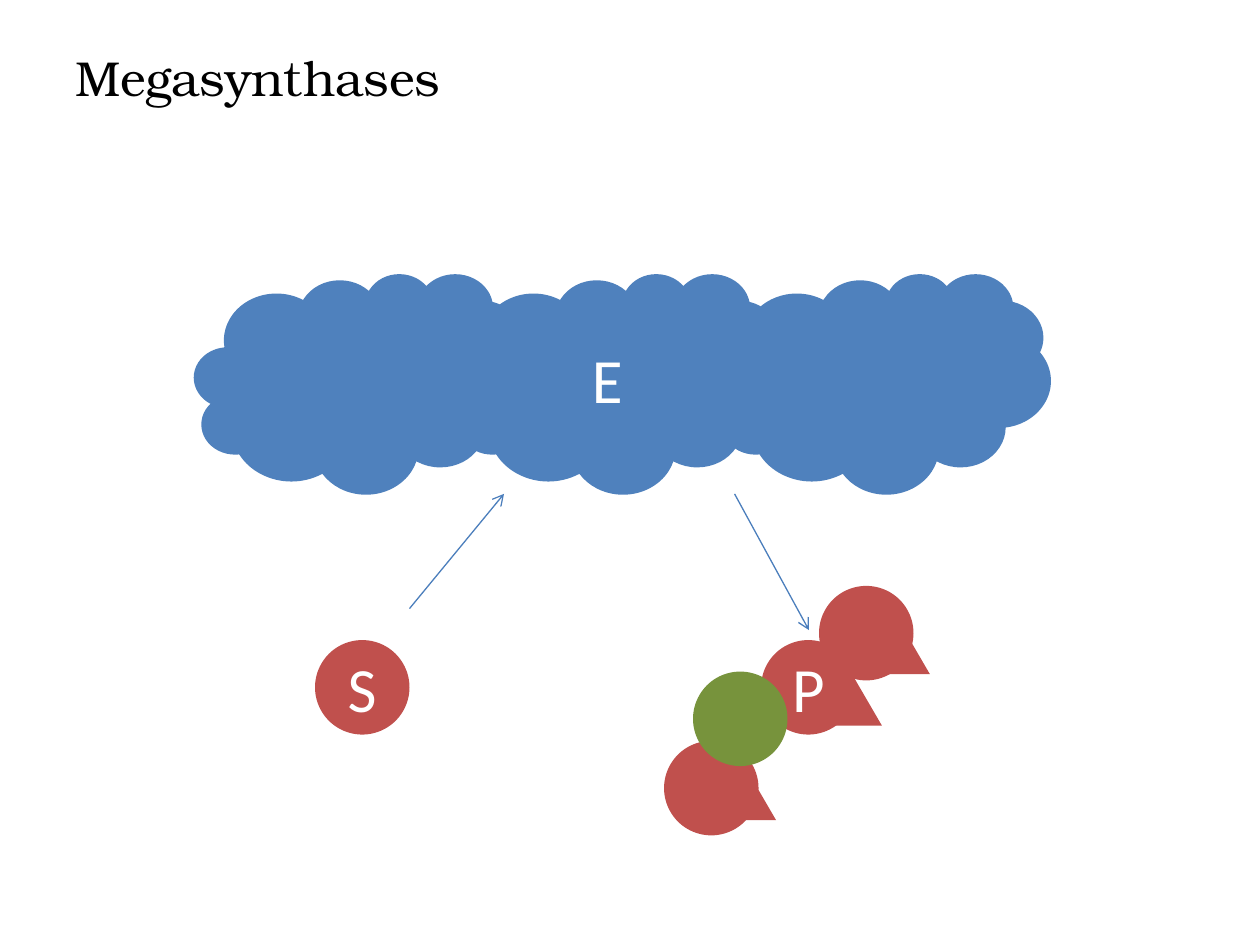
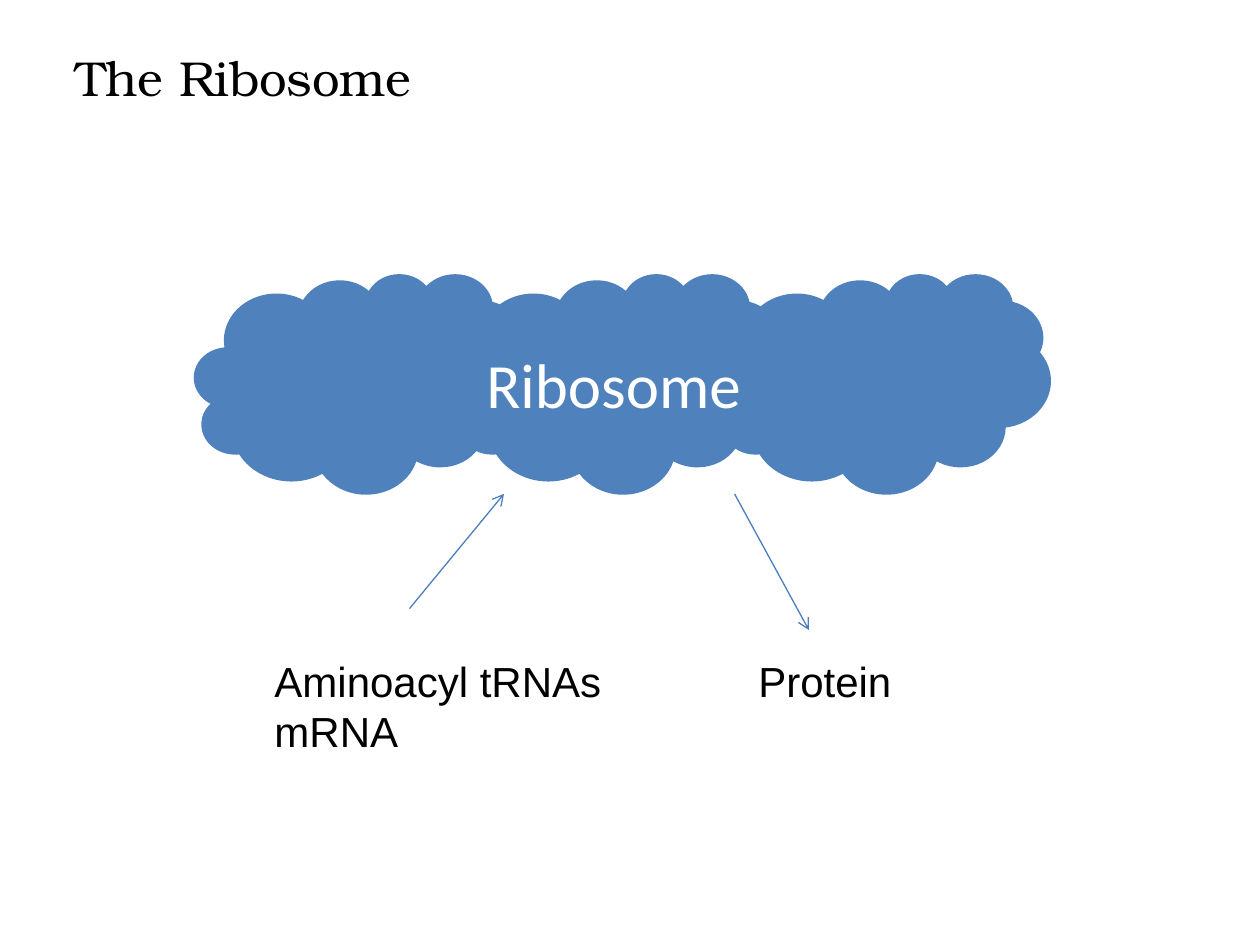
from pptx import Presentation
from pptx.dml.color import RGBColor
from pptx.enum.shapes import MSO_CONNECTOR, MSO_SHAPE
from pptx.enum.text import MSO_ANCHOR, MSO_AUTO_SIZE, PP_ALIGN
from pptx.oxml.ns import qn
from pptx.util import Inches, Pt
from lxml import etree

CLOUD, BALL, WEDGE = MSO_SHAPE.CLOUD, MSO_SHAPE.OVAL, MSO_SHAPE.ISOSCELES_TRIANGLE
STRAIGHT = MSO_CONNECTOR.STRAIGHT
LEFT, CENTER = PP_ALIGN.LEFT, PP_ALIGN.CENTER
TOP, MIDDLE = MSO_ANCHOR.TOP, MSO_ANCHOR.MIDDLE
GROW = MSO_AUTO_SIZE.SHAPE_TO_FIT_TEXT

BLACK = RGBColor(0x00, 0x00, 0x00)
WHITE = RGBColor(0xFF, 0xFF, 0xFF)
BLUE = RGBColor(0x4F, 0x81, 0xBD)
EDGE = RGBColor(0x4B, 0x7E, 0xBC)
RED = RGBColor(0xC0, 0x50, 0x4D)
GREEN = RGBColor(0x77, 0x93, 0x3C)

# Text formats
TITLE = {"name": "TeX Gyre Bonum", "size": Pt(28), "color": BLACK}
NOTE = {"name": "Arial", "size": Pt(24), "color": BLACK}
MARK = {"name": "Calibri", "size": Pt(36), "color": WHITE}

# Sizes of the parts
SIZES = {CLOUD: (2.67, 1.75), BALL: (0.75, 0.75), WEDGE: (0.5, 0.43)}


def write(frame, text, form, align=LEFT, anchor=TOP, wrap=True):
    frame.word_wrap = wrap
    frame.vertical_anchor = anchor
    frame.text = text
    for para in frame.paragraphs:
        para.alignment = align
        font = para.runs[0].font
        for key, value in form.items():
            if key == "color":
                font.color.rgb = value
            else:
                setattr(font, key, value)


def add_part(slide, kind, left, top, color, mark=""):
    size = SIZES[kind]
    part = slide.shapes.add_shape(kind, *map(Inches, (left, top, *size)))
    part.shadow.inherit = False
    part.fill.solid()
    part.fill.fore_color.rgb = color
    part.line.fill.background()
    if mark:
        write(part.text_frame, mark, MARK, CENTER, MIDDLE)


deck = Presentation()
deck.slide_width, deck.slide_height = Inches(10), Inches(7.5)
blank = deck.slide_layouts[6]

# Shared scene: title, enzyme of three clouds, arrows in and out
for title, mark in (("Megasynthases", "E"), ("The Ribosome", "")):
    slide = deck.slides.add_slide(blank)
    box = slide.shapes.add_textbox(*map(Inches, (0.5, 0.33, 7.67, 0.57)))
    write(box.text_frame, title, TITLE)
    box.text_frame.auto_size = GROW

    for left, text in ((3.58, mark), (5.67, ""), (1.54, "")):
        add_part(slide, CLOUD, left, 2.17, BLUE, text)

    for ends in ((3.25, 4.83, 4, 3.92), (5.83, 3.92, 6.42, 5)):
        arrow = slide.shapes.add_connector(STRAIGHT, *map(Inches, ends))
        arrow.line.color.rgb = EDGE
        arrow.line.width = Pt(0.75)
        etree.SubElement(arrow.line._get_or_add_ln(), qn("a:tailEnd"), type="arrow")
        etree.SubElement(arrow._element.spPr, qn("a:effectLst"))

mega, ribo = deck.slides

# Megasynthases: substrate and product, back to front
for kind, left, top, color, mark in (
    (BALL, 2.5, 5.08, RED, "S"),
    (BALL, 6.04, 5.08, RED, "P"),
    (WEDGE, 6.5, 5.33, RED, ""),
    (BALL, 5.27, 5.88, RED, ""),
    (BALL, 6.5, 4.65, RED, ""),
    (WEDGE, 5.66, 6.08, RED, ""),
    (WEDGE, 6.88, 4.92, RED, ""),
    (BALL, 5.5, 5.33, GREEN, ""),
):
    add_part(mega, kind, left, top, color, mark)

# Ribosome: names of the enzyme, its inputs and its product
for text, place, form, align, wrap in (
    ("Protein", (5.92, 5.15, 2.5, 0.5), NOTE, LEFT, True),
    ("Aminoacyl tRNAs\nmRNA", (2.08, 5.15, 3.08, 0.91), NOTE, LEFT, True),
    ("Ribosome", (3.75, 2.69, 2.24, 0.71), MARK, CENTER, False),
):
    box = ribo.shapes.add_textbox(*map(Inches, place))
    write(box.text_frame, text, form, align, wrap=wrap)
    box.text_frame.auto_size = GROW

deck.save("out.pptx")
